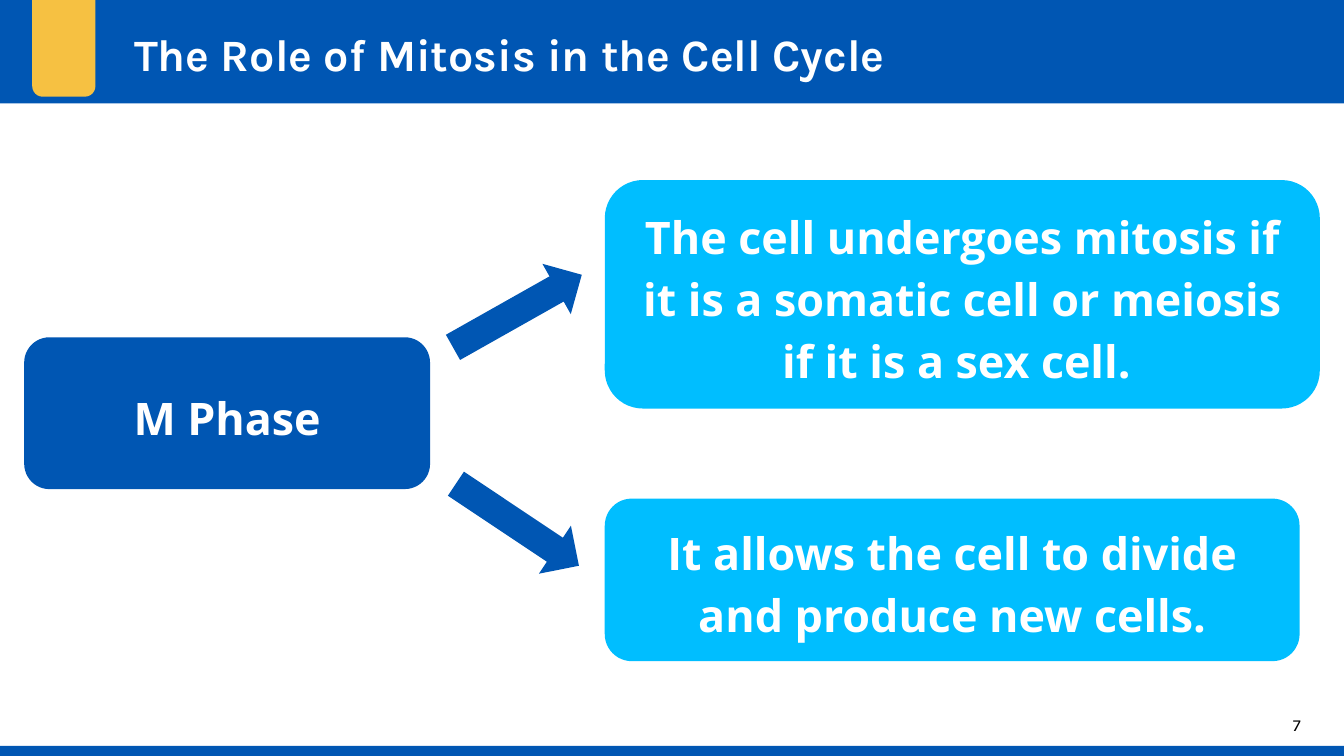
from dataclasses import dataclass

import pptx
import pptx.dml.color
import pptx.enum.shapes
import pptx.enum.text
import pptx.util

Inches = pptx.util.Inches
Shapes = pptx.enum.shapes.MSO_SHAPE
Align = pptx.enum.text.PP_ALIGN
Anchor = pptx.enum.text.MSO_ANCHOR


@dataclass(frozen=True)
class Theme:
    blue: str = "0056B3"
    sky: str = "00BEFF"
    yellow: str = "F6C142"
    white: str = "FFFFFF"
    black: str = "000000"
    heading_font: str = "Karla"
    body_font: str = "Open Sans"
    text_size: int = 24
    number_size: int = 9
    inset: float = 0.1
    line_spacing: float = 1.15


THEME = Theme()


def set_attributes(target, values):
    for name, value in values.items():
        setattr(target, name, value)


def write_text(shape, text, font, size, color, bold=True, align=Align.CENTER,
               anchor=Anchor.MIDDLE, spacing=1.0):
    frame = shape.text_frame
    margin = Inches(THEME.inset)
    set_attributes(frame, {
        "word_wrap": True, "vertical_anchor": anchor,
        "margin_left": margin, "margin_right": margin,
        "margin_top": margin, "margin_bottom": margin,
    })
    paragraph = frame.paragraphs[0]
    set_attributes(paragraph, {"alignment": align, "line_spacing": spacing})
    run = paragraph.add_run()
    run.text = text
    set_attributes(run.font, {"name": font, "size": pptx.util.Pt(size), "bold": bold})
    run.font.color.rgb = pptx.dml.color.RGBColor.from_string(color)


def add_block(slide, kind, box, color, rotation=0):
    shape = slide.shapes.add_shape(kind, *map(Inches, box))
    shape.shadow.inherit = False
    shape.fill.solid()
    shape.fill.fore_color.rgb = pptx.dml.color.RGBColor.from_string(color)
    shape.line.fill.background()
    shape.rotation = rotation
    return shape


def add_header(slide, box, title):
    left, top, width, height = box
    add_block(slide, Shapes.RECTANGLE, box, THEME.blue)
    add_block(slide, Shapes.ROUNDED_RECTANGLE,
              (left + 0.24, top - 0.12, 0.47, 0.84), THEME.yellow)
    title_box = (left + 0.9, top + 0.1, 7.22, 0.57)
    write_text(slide.shapes.add_textbox(*map(Inches, title_box)), title,
               THEME.heading_font, THEME.text_size, THEME.white,
               align=Align.LEFT, anchor=Anchor.TOP)


def add_footer(slide, box, number):
    left, top, width, height = box
    bar_height = 0.08
    add_block(slide, Shapes.RECTANGLE,
              (left, top + height - bar_height, width, bar_height), THEME.blue)
    number_box = (left + width - 0.65, top, 0.6, 0.43)
    write_text(slide.shapes.add_textbox(*map(Inches, number_box)), number,
               THEME.heading_font, THEME.number_size, THEME.black, bold=False)


def add_card(slide, box, text, color):
    card = add_block(slide, Shapes.ROUNDED_RECTANGLE, box, color)
    write_text(card, text, THEME.body_font, THEME.text_size, THEME.white,
               spacing=THEME.line_spacing)


def add_branches(slide, box, phase, outcomes):
    left, top, width, height = box
    add_card(slide, (left, top + 1.17, 3.02, 1.13), phase, THEME.blue)
    for text, card_top, card_width, card_height, arrow_top, angle in outcomes:
        add_block(slide, Shapes.RIGHT_ARROW,
                  (left + 3.12, top + arrow_top, 1.1, 0.43), THEME.blue, angle)
        add_card(slide, (left + 4.32, top + card_top, card_width, card_height),
                 text, THEME.sky)


def main():
    presentation = pptx.Presentation()
    slide_width = Inches(10)
    set_attributes(presentation, {
        "slide_width": slide_width, "slide_height": slide_width * 9 // 16,
    })
    slide = presentation.slides.add_slide(presentation.slide_layouts[6])
    add_header(slide, (0, 0, 10, 0.77), "The Role of Mitosis in the Cell Cycle")
    add_footer(slide, (0, 5.18, 10, 0.45), "7")
    add_branches(slide, (0.18, 1.34, 9.64, 3.58), "M Phase", [
        ("The cell undergoes mitosis if it is a somatic cell or meiosis if it is a sex cell. ",
         0, 5.32, 1.7, 0.76, 330.6),
        ("It allows the cell to divide and produce new cells.",
         2.37, 5.17, 1.21, 2.35, 33.7),
    ])
    presentation.save("out.pptx")


if __name__ == "__main__":
    main()
